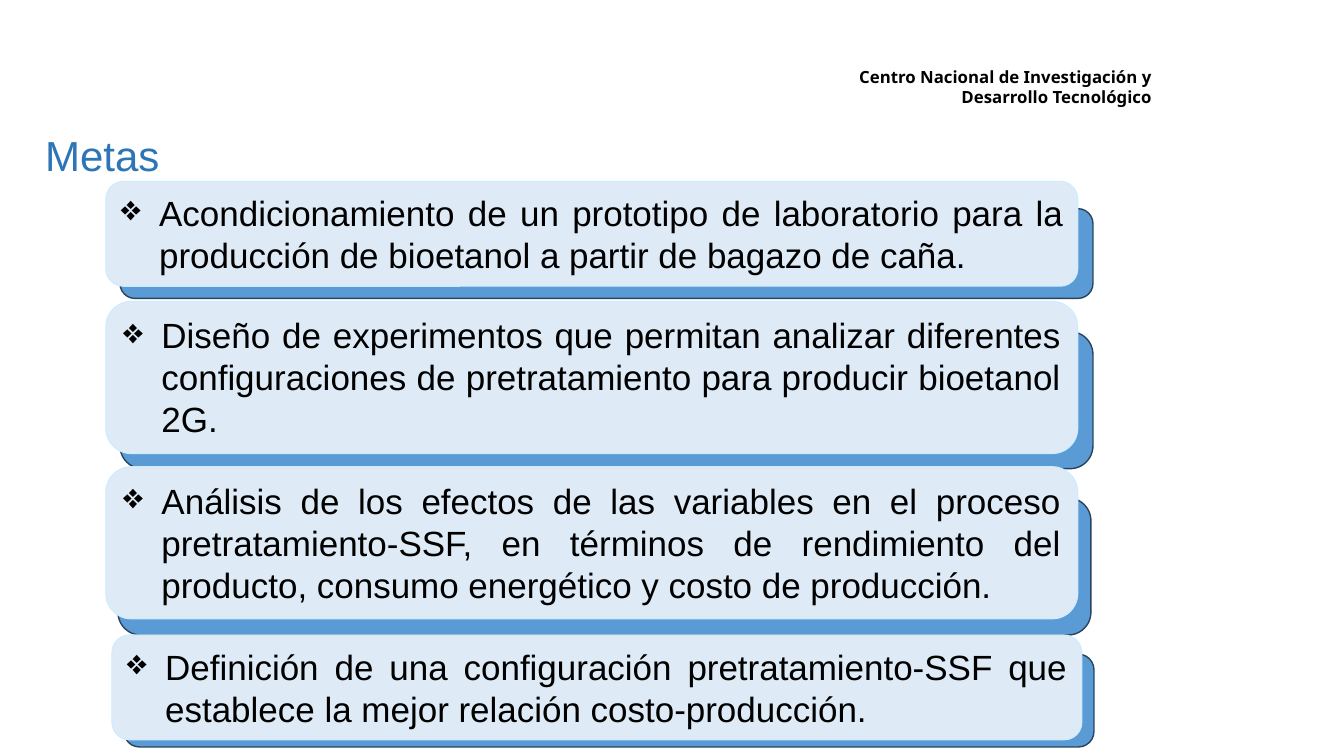
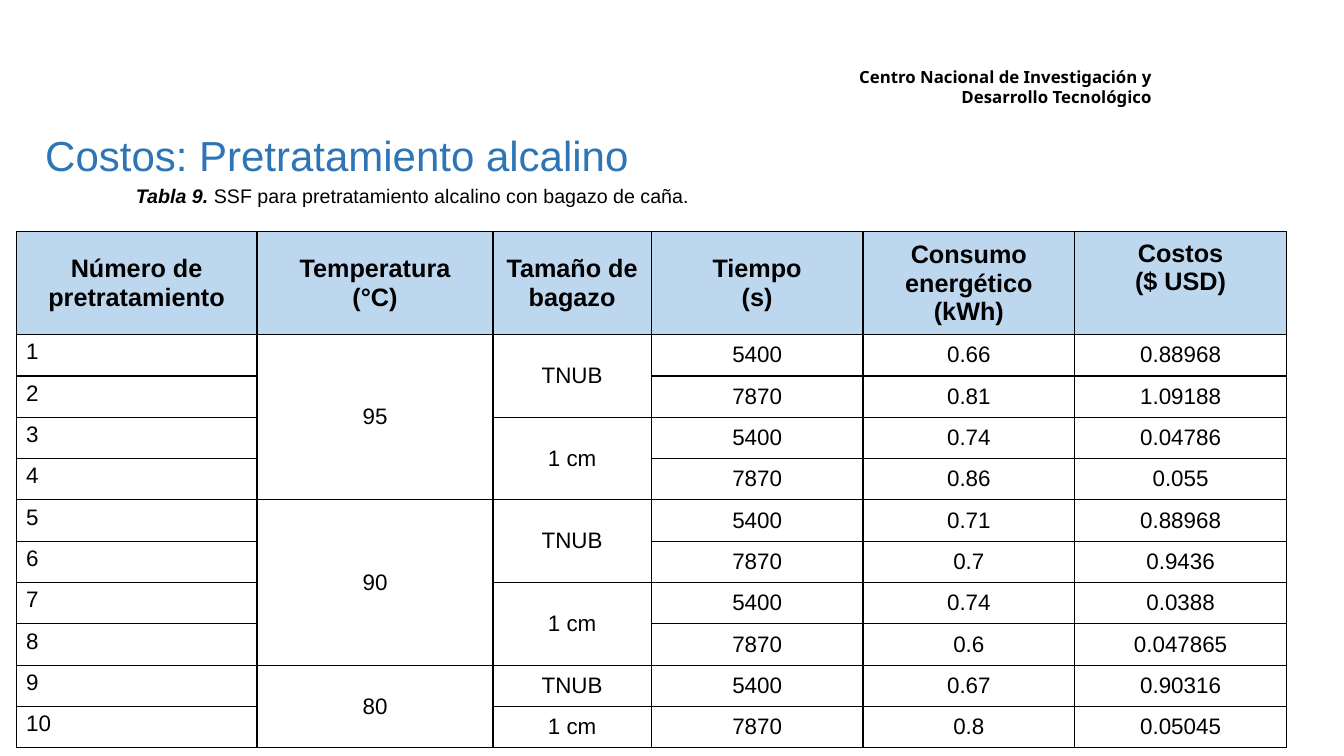
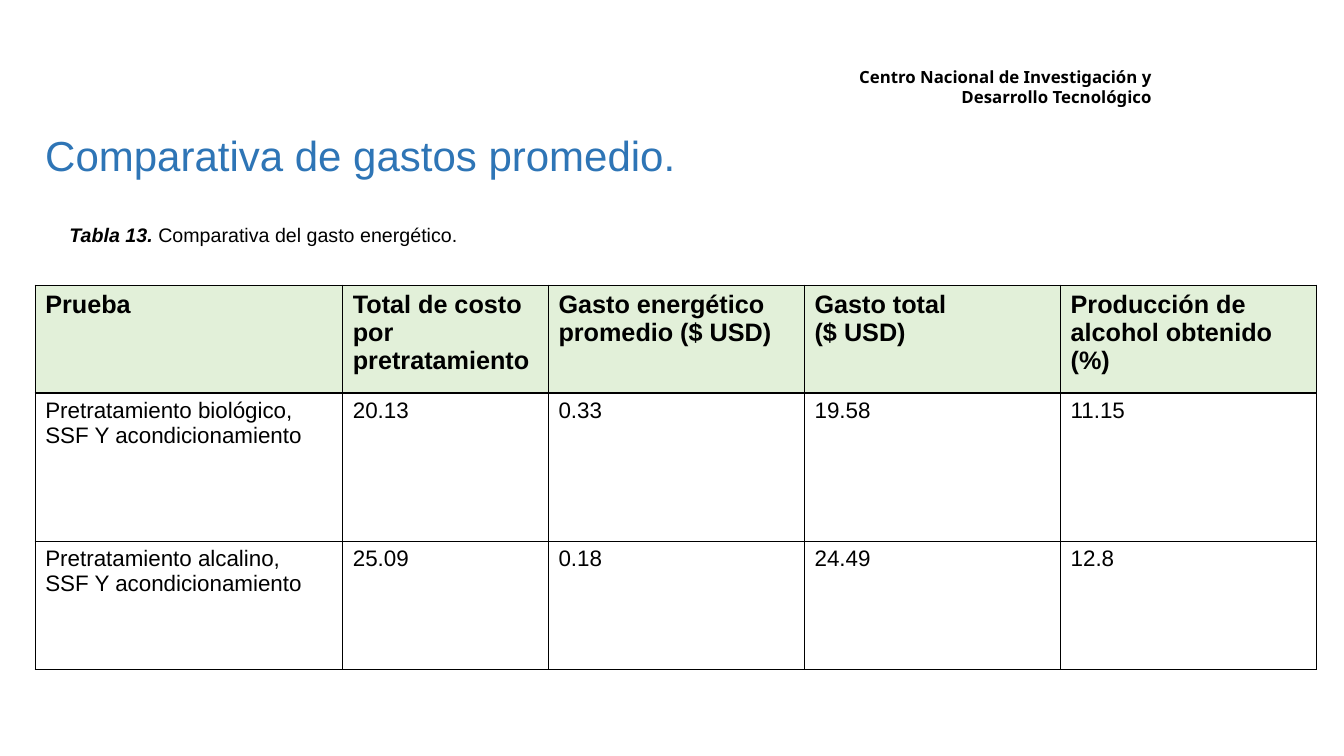
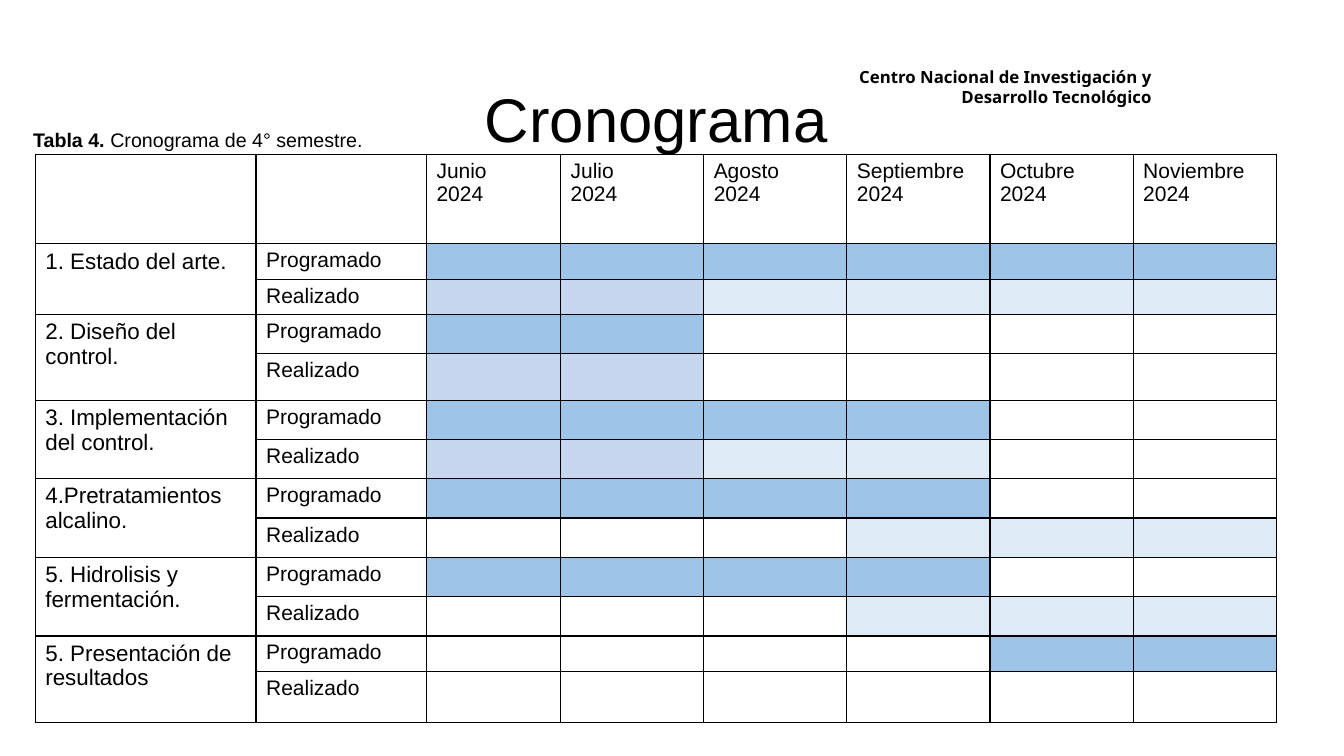
from dataclasses import dataclass

from lxml import etree
from pptx import Presentation
from pptx import util as u
from pptx.dml.color import RGBColor
from pptx.enum import shapes, text
from pptx.oxml.ns import qn

PX = 9144  # 100 px to the inch


@dataclass(frozen=True)
class Theme:
    font: str = "Arial"
    header_font: str = "Noto Sans"
    ink: str = "000000"
    title: str = "2E75B6"
    card: str = "DEEBF7"
    card_edge: str = "CCECFF"
    backing: str = "5B9BD5"
    backing_edge: str = "28445D"
    blue_head: str = "BDD7EE"
    green_head: str = "E2F0D9"
    planned: str = "9DC3E6"
    done: str = "C4D7EE"
    pending: str = "DEEBF7"
    title_size: int = 30
    cover_size: int = 44
    card_size: int = 25
    head_size: int = 18
    cell_size: int = 16
    month_size: int = 15
    caption_size: int = 14
    header_size: int = 12


T = Theme()
LEFT, CENTER, RIGHT, JUSTIFY = (text.PP_ALIGN.LEFT, text.PP_ALIGN.CENTER,
                                text.PP_ALIGN.RIGHT, text.PP_ALIGN.JUSTIFY)
TOP, MIDDLE = text.MSO_ANCHOR.TOP, text.MSO_ANCHOR.MIDDLE

# ---- Content ----
INSTITUTE = "Centro Nacional de Investigación y Desarrollo Tecnológico"

# goal, card box, backing box
GOALS = [
    ("Acondicionamiento de un prototipo de laboratorio para la producción de "
     "bioetanol a partir de bagazo de caña.",
     (105, 180, 964, 104), (119, 207, 965, 89)),
    ("Diseño de experimentos que permitan analizar diferentes configuraciones "
     "de pretratamiento para producir bioetanol 2G.",
     (105, 299, 964, 151), (119, 329, 965, 136)),
    ("Análisis de los efectos de las variables en el proceso "
     "pretratamiento-SSF, en términos de rendimiento del producto, consumo "
     "energético y costo de producción.",
     (105, 463, 964, 151), (117, 494, 965, 136)),
    ("Definición de una configuración pretratamiento-SSF que establece la "
     "mejor relación costo-producción.",
     (111, 630, 962, 104), (123, 649, 962, 92)),
]

# None continues the cell above
COSTS = [
    ("Número de pretratamiento", "Temperatura\n(°C)", "Tamaño de bagazo",
     "Tiempo\n(s)", "Consumo energético (kWh)", "Costos\n($ USD)"),
    ("1", "95", "TNUB", "5400", "0.66", "0.88968"),
    ("2", None, None, "7870", "0.81", "1.09188"),
    ("3", None, "1 cm", "5400", "0.74", "0.04786"),
    ("4", None, None, "7870", "0.86", "0.055"),
    ("5", "90", "TNUB", "5400", "0.71", "0.88968"),
    ("6", None, None, "7870", "0.7", "0.9436"),
    ("7", None, "1 cm", "5400", "0.74", "0.0388"),
    ("8", None, None, "7870", "0.6", "0.047865"),
    ("9", "80", "TNUB", "5400", "0.67", "0.90316"),
    ("10", None, "1 cm", "7870", "0.8", "0.05045"),
]

SPENDING = [
    ("Prueba", "Total de costo por\npretratamiento",
     "Gasto energético\npromedio ($ USD)", "Gasto total\n($ USD)",
     "Producción de\nalcohol obtenido (%)"),
    ("Pretratamiento biológico,\nSSF Y acondicionamiento",
     "20.13", "0.33", "19.58", "11.15"),
    ("Pretratamiento alcalino,\nSSF Y acondicionamiento",
     "25.09", "0.18", "24.49", "12.8"),
]

MONTHS = ["Junio", "Julio", "Agosto", "Septiembre", "Octubre", "Noviembre"]
# task, planned months, done months: P planned, D done, N pending, . empty
TASKS = [
    ("1. Estado del arte.", "PPPPPP", "DDNNNN"),
    ("2. Diseño del control.", "PP....", "DD...."),
    ("3. Implementación del control.", "PPPP..", "DDNN.."),
    ("4.Pretratamientos alcalino.", "PPPP..", "...NNN"),
    ("5. Hidrolisis y fermentación.", "PPPP..", "...NNN"),
    ("5. Presentación de resultados", "....PP", "......"),
]
MARKS = {"P": T.planned, "D": T.done, "N": T.pending}


# ---- Building blocks ----
def px(*lengths):
    return [u.Emu(n * PX) for n in lengths]


def set_font(font, size, color=T.ink, bold=False, name=T.font):
    font.size, font.name, font.bold = u.Pt(size), name, bold
    font.color.rgb = RGBColor.from_string(color)


def add_text(slide, box, runs, size, color=T.ink, align=LEFT, anchor=TOP,
             bold=False, name=T.font, spacing=None):
    """runs: (text, bold, italic) triples, or one plain string."""
    frame = slide.shapes.add_textbox(*px(*box)).text_frame
    frame.word_wrap, frame.vertical_anchor = True, anchor
    line = frame.paragraphs[0]
    line.alignment = align
    if spacing:
        line.line_spacing = spacing
    set_font(line.font, size, color, bold, name)
    if isinstance(runs, str):
        line.add_run().text = runs
        return
    for words, is_bold, is_italic in runs:
        run = line.add_run()
        run.text = words
        run.font.bold, run.font.italic = is_bold, is_italic


def add_header(slide):
    add_text(slide, (785, 61, 367, 50), INSTITUTE, T.header_size, align=RIGHT,
             bold=True, name=T.header_font)


def add_title(slide, words, width=1001):
    add_text(slide, (35, 109, width, 96), words, T.title_size, T.title,
             JUSTIFY, MIDDLE, spacing=0.9)


def add_caption(slide, box, label, words, italic=True):
    add_text(slide, box, [(label, True, italic), (words, False, False)],
             T.caption_size)


def add_panel(group, box, fill, edge, width):
    panel = group.shapes.add_shape(shapes.MSO_SHAPE.ROUNDED_RECTANGLE, *px(*box))
    panel.shadow.inherit = False
    panel.fill.solid()
    panel.fill.fore_color.rgb = RGBColor.from_string(fill)
    panel.line.color.rgb = RGBColor.from_string(edge)
    panel.line.width = u.Pt(width)
    return panel


def add_goal(slide, words, card_box, backing_box):
    group = slide.shapes.add_group_shape()
    add_panel(group, backing_box, T.backing, T.backing_edge, 1)
    frame = add_panel(group, card_box, T.card, T.card_edge, 0.75).text_frame
    frame.word_wrap, frame.vertical_anchor = True, TOP
    goal = frame.paragraphs[0]
    goal.text, goal.alignment = words, JUSTIFY
    props = goal._p.get_or_add_pPr()
    indent = 38 * PX
    props.set("marL", str(indent))
    props.set("indent", str(-indent))
    etree.SubElement(props, qn("a:buChar"), char="❖")
    set_font(goal.font, T.card_size)


def add_borders(cell):
    props = cell._tc.get_or_add_tcPr()
    for place, side in enumerate(("lnL", "lnR", "lnT", "lnB")):
        line = etree.Element(qn("a:" + side), w=str(u.Pt(1)))
        fill = etree.SubElement(line, qn("a:solidFill"))
        etree.SubElement(fill, qn("a:srgbClr"), val=T.ink)
        props.insert(place, line)


def style_cell(cell, words, size, bold=False, fill=None, align=LEFT, anchor=TOP):
    if fill:
        cell.fill.solid()
        cell.fill.fore_color.rgb = RGBColor.from_string(fill)
    else:
        cell.fill.background()
    add_borders(cell)
    cell.vertical_anchor = anchor
    if words:
        cell.text = words
    for line in cell.text_frame.paragraphs:
        line.alignment = align
        set_font(line.font, size, bold=bold)
        if not words:  # an empty cell takes its height from the end mark
            etree.SubElement(line._p, qn("a:endParaRPr"), sz=str(size * 100))


def add_grid(slide, corner, widths, heights, rows, style):
    """style(row, column) gives the keyword arguments of style_cell."""
    box = (*corner, sum(widths), sum(heights))
    grid = slide.shapes.add_table(len(rows), len(widths), *px(*box)).table
    grid.first_row = grid.horz_banding = False
    for column, width in zip(grid.columns, px(*widths)):
        column.width = width
    for row, height in zip(grid.rows, px(*heights)):
        row.height = height
    for r, row in enumerate(rows):
        for c, words in enumerate(row):
            style_cell(grid.cell(r, c), words, **style(r, c))
    for c in range(len(widths)):
        starts = [r for r, row in enumerate(rows) if row[c] is not None]
        for first, following in zip(starts, starts[1:] + [len(rows)]):
            if following - first > 1:
                grid.cell(first, c).merge(grid.cell(following - 1, c))
    return grid


# ---- Slides ----
def goals_slide(slide):
    for goal in GOALS:
        add_goal(slide, *goal)
    add_header(slide)
    add_title(slide, "Metas", 444)


def costs_slide(slide):
    def style(r, c):
        if r == 0:
            return dict(size=T.head_size, bold=True, fill=T.blue_head,
                        align=CENTER, anchor=TOP if c == 5 else MIDDLE)
        if c == 0:
            return dict(size=T.cell_size)
        return dict(size=T.cell_size, align=CENTER, anchor=MIDDLE)

    add_caption(slide, (125, 178, 702, 34), "Tabla 9.",
                " SSF para pretratamiento alcalino con bagazo de caña.")
    add_header(slide)
    costs = add_grid(slide, (16, 230), [239, 234, 157] + [210] * 3,
                     [102] + [41] * 10, COSTS, style)
    costs.cell(0, 5).margin_top = px(8)[0]  # level with the three-line heading
    add_title(slide, "Costos: Pretratamiento alcalino")


def spending_slide(slide):
    def style(r, c):
        if r == 0:
            return dict(size=T.head_size, bold=True, fill=T.green_head)
        return dict(size=T.cell_size)

    add_header(slide)
    add_caption(slide, (59, 216, 409, 34), "Tabla 13.",
                " Comparativa del gasto energético.")
    add_grid(slide, (35, 283), [305, 204] + [254] * 3, [107, 147, 127],
             SPENDING, style)
    add_title(slide, "Comparativa de gastos promedio.")


def schedule_slide(slide):
    blank = [""] * len(MONTHS)
    rows = [["", ""] + [month + "\n2024" for month in MONTHS]]
    marks = [blank]
    for task, planned, done in TASKS:
        rows += [[task, "Programado"] + blank, [None, "Realizado"] + blank]
        marks += [planned, done]

    def style(r, c):
        return dict(size=T.month_size if c else T.cell_size,
                    fill=MARKS.get(marks[r][c - 2]) if c > 1 else None)

    add_text(slide, (76, 49, 1150, 145), "Cronograma", T.cover_size,
             align=CENTER, anchor=MIDDLE, spacing=0.9)
    add_grid(slide, (35, 153), [219, 169, 133] + [142] * 5,
             [89, 35, 35, 39, 46] + [39] * 6 + [35, 51], rows, style)
    add_caption(slide, (23, 122, 469, 34), "Tabla 4. ",
                "Cronograma de 4° semestre.", italic=False)
    add_header(slide)


def main():
    deck = Presentation()
    deck.slide_width, deck.slide_height = px(1333, 750)
    for build in (goals_slide, costs_slide, spending_slide, schedule_slide):
        build(deck.slides.add_slide(deck.slide_layouts[6]))
    deck.save("out.pptx")


if __name__ == "__main__":
    main()
